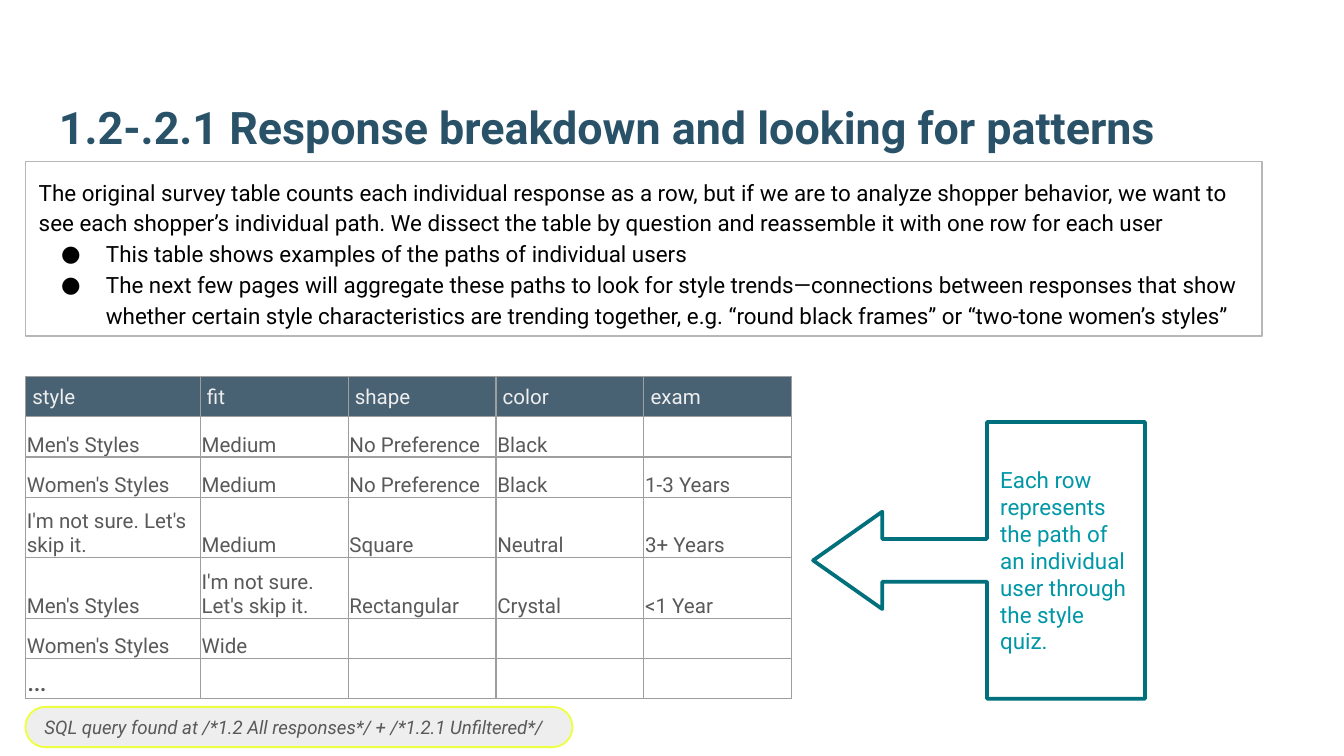
from dataclasses import dataclass
from typing import NamedTuple

from lxml.etree import SubElement
from pptx import Presentation
from pptx.dml.color import RGBColor
from pptx.enum.shapes import MSO_SHAPE
from pptx.enum.text import MSO_ANCHOR, PP_ALIGN
from pptx.oxml.ns import qn
from pptx.util import Pt


@dataclass(frozen=True)
class Theme:
    font: str = "Roboto"
    title: str = "295269"
    black: str = "000000"
    body: str = "595959"
    callout: str = "0097A7"
    callout_line: str = "00707C"
    box_line: str = "B7B7B7"
    grid: str = "9E9E9E"
    header: str = "204056"
    header_opacity: int = 82000
    light: str = "EEEEEE"
    accent: str = "EEFF41"
    title_size: float = 24
    text_size: float = 12
    table_size: float = 11
    ellipsis_size: float = 16
    note_size: float = 10


class Area(NamedTuple):
    left: float
    top: float
    width: float
    height: float


class Insets(NamedTuple):
    left: float
    top: float
    right: float
    bottom: float


class TextStyle(NamedTuple):
    size: float
    color: str
    bold: bool = False
    italic: bool = False


@dataclass(frozen=True)
class Panel:
    kind: MSO_SHAPE
    area: Area
    line: str
    line_width: float
    paragraphs: tuple[str, ...]
    style: TextStyle
    fill: str | None = None
    adjustments: tuple[float, ...] = ()
    anchor: MSO_ANCHOR = MSO_ANCHOR.MIDDLE
    insets: Insets = Insets(7.2, 3.6, 7.2, 3.6)


THEME = Theme()
LEFT = 13.7
EVEN_INSETS = Insets(7.2, 7.2, 7.2, 7.2)
HEADER_INSETS = Insets(3.6, 0.72, 0.72, 3.6)
CELL_INSETS = Insets(0.72, 0.72, 0.72, 0)
COLUMN_WIDTHS = (93.6, 79.2, 79.2, 79.2, 79.2)
ROW_HEIGHTS = (21.6, 21.6, 21.6, 32.4, 32.4, 21.6, 21.6)
RESPONSES = (
    ("style", "fit", "shape", "color", "exam"),
    ("Men's Styles", "Medium", "No Preference", "Black", ""),
    ("Women's Styles", "Medium", "No Preference", "Black", "1-3 Years"),
    ("I'm not sure. Let's skip it.", "Medium", "Square", "Neutral", "3+ Years"),
    ("Men's Styles", "I'm not sure. Let's skip it.", "Rectangular", "Crystal", "<1 Year"),
    ("Women's Styles", "Wide", "", "", ""),
    ("…", "", "", "", ""),
)
EXPLANATION = Panel(
    MSO_SHAPE.RECTANGLE, Area(LEFT, 86.4, 662.4, 93.6), THEME.box_line, 0.75,
    (
        "The original survey table counts each individual response as a row, but if we are "
        "to analyze shopper behavior, we want to see each shopper’s individual path. We "
        "dissect the table by question and reassemble it with one row for each user",
        "This table shows examples of the paths of individual users",
        "The next few pages will aggregate these paths to look for style trends—connections "
        "between responses that show whether certain style characteristics are trending "
        "together, e.g. “round black frames” or “two-tone women’s styles”",
    ),
    TextStyle(THEME.text_size, THEME.black), anchor=MSO_ANCHOR.TOP, insets=EVEN_INSETS,
)
QUERY_NOTE = Panel(
    MSO_SHAPE.ROUNDED_RECTANGLE, Area(LEFT, 378.7, 293, 21.6), THEME.accent, 1,
    ("SQL query found at /*1.2 All responses*/ + /*1.2.1 Unfiltered*/",),
    TextStyle(THEME.note_size, THEME.body, italic=True), THEME.light, (0.49,),
)
ROW_CALLOUT = Panel(
    MSO_SHAPE.LEFT_ARROW_CALLOUT, Area(435.6, 226.1, 177.8, 148.3), THEME.callout_line, 2,
    ("Each row represents the path of an individual user through the style quiz.",),
    TextStyle(THEME.text_size, THEME.callout), adjustments=(0.155, 0.176, 0.25, 0.476),
)


def points(area: Area) -> tuple:
    return tuple(Pt(length) for length in area)


def set_insets(target, insets: Insets) -> None:
    """Set the margins of a text frame or a table cell."""
    target.margin_left, target.margin_top, target.margin_right, target.margin_bottom = map(Pt, insets)


def format_runs(paragraph, style: TextStyle) -> None:
    paragraph.alignment = PP_ALIGN.LEFT
    for run in paragraph.runs:
        run.font.name = THEME.font
        run.font.size = Pt(style.size)
        run.font.bold = style.bold
        run.font.italic = style.italic
        run.font.color.rgb = RGBColor.from_string(style.color)


def add_bullet(paragraph) -> None:
    properties = paragraph._p.get_or_add_pPr()
    properties.set("marL", str(Pt(36)))
    properties.set("indent", str(Pt(-24)))
    color = SubElement(properties, qn("a:buClr"))
    SubElement(color, qn("a:srgbClr"), val=THEME.black)
    SubElement(properties, qn("a:buFont"), typeface=THEME.font)
    SubElement(properties, qn("a:buChar"), char="●")


def add_title(slide, text: str) -> None:
    frame = slide.shapes.add_textbox(*points(Area(24.5, 23, 671, 66.2))).text_frame
    frame.word_wrap = True
    frame.vertical_anchor = MSO_ANCHOR.BOTTOM
    set_insets(frame, EVEN_INSETS)
    frame.text = text
    format_runs(frame.paragraphs[0], TextStyle(THEME.title_size, THEME.title, bold=True))


def add_panel(slide, panel: Panel) -> None:
    """Draw an outlined shape; paragraphs after the first are bulleted."""
    shape = slide.shapes.add_shape(panel.kind, *points(panel.area))
    shape.shadow.inherit = False
    for index, value in enumerate(panel.adjustments):
        shape.adjustments[index] = value
    if panel.fill:
        shape.fill.solid()
        shape.fill.fore_color.rgb = RGBColor.from_string(panel.fill)
    else:
        shape.fill.background()
    shape.line.color.rgb = RGBColor.from_string(panel.line)
    shape.line.width = Pt(panel.line_width)
    frame = shape.text_frame
    frame.word_wrap = True
    frame.vertical_anchor = panel.anchor
    set_insets(frame, panel.insets)
    frame.text = "\n".join(panel.paragraphs)
    for index, paragraph in enumerate(frame.paragraphs):
        if len(panel.paragraphs) > 1:
            paragraph.line_spacing = 1.15
        if index:
            add_bullet(paragraph)
        format_runs(paragraph, panel.style)


def add_borders(cell) -> None:
    properties = cell._tc.get_or_add_tcPr()
    for side in ("lnL", "lnR", "lnT", "lnB"):
        line = SubElement(properties, qn(f"a:{side}"), w=str(Pt(0.75)))
        fill = SubElement(line, qn("a:solidFill"))
        SubElement(fill, qn("a:srgbClr"), val=THEME.grid)


def fill_cell(cell, text: str, is_header: bool) -> None:
    cell.vertical_anchor = MSO_ANCHOR.BOTTOM
    set_insets(cell, HEADER_INSETS if is_header else CELL_INSETS)
    add_borders(cell)
    if is_header:
        cell.fill.solid()
        cell.fill.fore_color.rgb = RGBColor.from_string(THEME.header)
        color = next(cell._tc.tcPr.find(qn("a:solidFill")).iterchildren())
        SubElement(color, qn("a:alpha"), val=str(THEME.header_opacity))
    else:
        cell.fill.background()
    cell.text_frame.text = text
    paragraph = cell.text_frame.paragraphs[0]
    size = THEME.ellipsis_size if text == "…" else THEME.table_size
    format_runs(paragraph, TextStyle(size, THEME.light if is_header else THEME.body))
    if not text:
        SubElement(paragraph._p, qn("a:endParaRPr"), sz=str(int(THEME.table_size * 100)))


def add_response_table(slide) -> None:
    area = Area(LEFT, 201.6, sum(COLUMN_WIDTHS), sum(ROW_HEIGHTS))
    table = slide.shapes.add_table(len(ROW_HEIGHTS), len(COLUMN_WIDTHS), *points(area)).table
    table.first_row = table.horz_banding = False
    for column, width in zip(table.columns, COLUMN_WIDTHS):
        column.width = Pt(width)
    for row_index, (row, height) in enumerate(zip(table.rows, ROW_HEIGHTS)):
        row.height = Pt(height)
        for cell, text in zip(row.cells, RESPONSES[row_index]):
            fill_cell(cell, text, is_header=row_index == 0)


def main() -> None:
    presentation = Presentation()
    presentation.slide_width, presentation.slide_height = Pt(720), Pt(405)
    slide = presentation.slides.add_slide(presentation.slide_layouts[6])
    add_title(slide, "1.2-.2.1 Response breakdown and looking for patterns")
    add_panel(slide, EXPLANATION)
    add_response_table(slide)
    add_panel(slide, QUERY_NOTE)
    add_panel(slide, ROW_CALLOUT)
    presentation.save("out.pptx")


if __name__ == "__main__":
    main()
